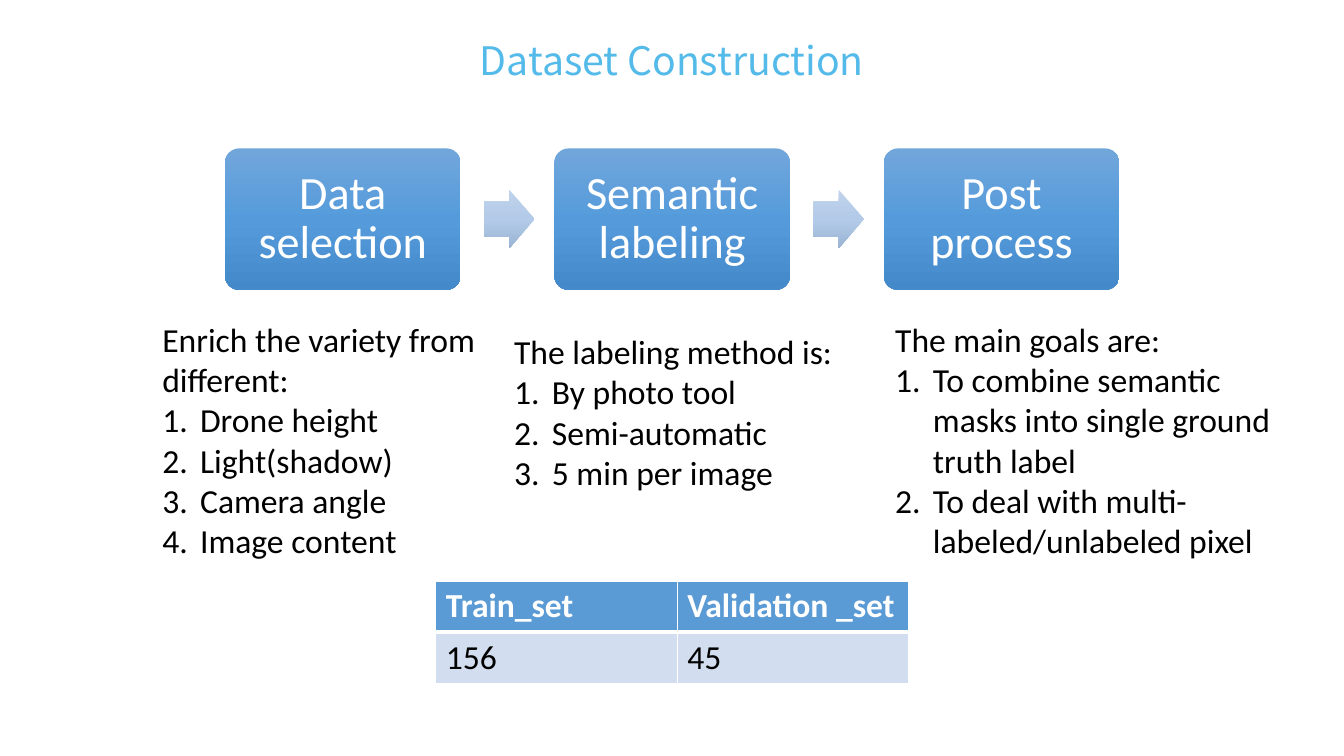
from copy import deepcopy

from lxml.etree import SubElement
from pptx import Presentation
from pptx.dml.color import RGBColor
from pptx.enum.shapes import MSO_SHAPE as Shape
from pptx.enum.text import MSO_ANCHOR as Anchor, MSO_AUTO_SIZE as AutoSize, PP_ALIGN as Align
from pptx.oxml.ns import qn
from pptx.util import Pt

COLOURS = {
    "title": "53BAE9", "text": "000000", "white": "FFFFFF",
    "header": "5B9BD5", "body": "D2DEEF",
}
STEP_GRADIENT = ["71A6DB", "559BDB", "448ACA"]
ARROW_GRADIENT = ["C0D2EB", "B3CBE9", "9BB4D3"]


def add_gradient_shape(kind, left, top, width, height, gradient):
    shape = page.shapes.add_shape(kind, Pt(left), Pt(top), Pt(width), Pt(height))
    shape.shadow.inherit = False
    shape.line.fill.background()
    shape.fill.gradient()
    shape.fill.gradient_angle = 270
    stop_list = shape._element.xpath(".//a:gsLst")[0]
    stop_list.append(deepcopy(stop_list[0]))
    for index, stop in enumerate(shape.fill.gradient_stops):
        stop.position = index / 2
        stop.color.rgb = RGBColor.from_string(gradient[index])
    return shape


def style_text(para, size, colour, bold=False, name="Calibri"):
    for span in para.runs:
        span.font.size = Pt(size)
        span.font.name = name
        span.font.bold = bold
        span.font.color.rgb = RGBColor.from_string(COLOURS[colour])


deck = Presentation()
deck.slide_width, deck.slide_height = Pt(960), Pt(540)
page = deck.slides.add_slide(deck.slide_layouts[4])
title, *bodies = page.placeholders

# Title
title.left, title.top, title.width, title.height = Pt(327.6), Pt(22.3), Pt(304.6), Pt(41)
title.text_frame.text = "Dataset Construction"
title.text_frame.word_wrap = False
title.text_frame.auto_size = AutoSize.NONE
title.text_frame.vertical_anchor = Anchor.MIDDLE
title.text_frame.paragraphs[0].alignment = Align.CENTER
style_text(title.text_frame.paragraphs[0], 28, "title", name="Noto Sans CJK SC")

# Process steps with arrows between them
steps = ["Data selection", "Semantic labeling", "Post process"]
for index, step in enumerate(steps):
    left = 160.7 + index * 235.3
    box = add_gradient_shape(Shape.ROUNDED_RECTANGLE, left, 106, 168.3, 101, STEP_GRADIENT)
    box.adjustments[0] = 0.1
    frame = box.text_frame
    frame.text = step
    frame.word_wrap = True
    frame.vertical_anchor = Anchor.MIDDLE
    frame.margin_left = frame.margin_right = Pt(13)
    frame.margin_top = frame.margin_bottom = Pt(13)
    para = frame.paragraphs[0]
    para.alignment = Align.CENTER
    para.line_spacing = 0.9
    style_text(para, 33, "white")
    if index < len(steps) - 1:
        arrow = add_gradient_shape(Shape.RIGHT_ARROW, left + 185, 135.5, 36, 42, ARROW_GRADIENT)
        arrow.adjustments[0] = 0.6

# Numbered notes under the steps
notes = [
    (108.7, 224, 250.6, 181.4, "Enrich the variety from different:",
     ["Drone height", "Light(shadow)", "Camera angle", "Image content"]),
    (360, 232.8, 247, 152.6, "The labeling method is:",
     ["By photo tool", "Semi-automatic", "5 min per image"]),
    (632.2, 224, 283, 181.4, "The main goals are:",
     ["To combine semantic masks into single ground truth label",
      "To deal with multi-labeled/unlabeled pixel"]),
]
for body, (left, top, width, height, heading, items) in zip(bodies, notes):
    body.left, body.top, body.width, body.height = Pt(left), Pt(top), Pt(width), Pt(height)
    frame = body.text_frame
    frame.text = "\n".join([heading, *items])
    frame.word_wrap = True
    frame.auto_size = AutoSize.NONE
    frame.vertical_anchor = Anchor.TOP
    for index, para in enumerate(frame.paragraphs):
        indent = Pt(27) if index else 0
        properties = para._p.get_or_add_pPr()
        properties.set("marL", str(indent))
        properties.set("indent", str(-indent))
        if index:
            SubElement(properties, qn("a:buFont"), typeface="+mj-lt")
            SubElement(properties, qn("a:buAutoNum"), type="arabicPeriod")
        else:
            SubElement(properties, qn("a:buNone"))
        para.space_before = Pt(0)
        style_text(para, 24, "text")
for spare in bodies[len(notes):]:
    spare._element.getparent().remove(spare._element)

# Table of set sizes
rows = [["Train_set", "Validation _set"], ["156", "45"]]
row_styles = [("header", "white", True), ("body", "text", False)]
table = page.shapes.add_table(2, 2, Pt(311.3), Pt(415), Pt(337.5), Pt(72)).table
table.columns[0].width, table.columns[1].width = Pt(172.5), Pt(165)
for row, (values, (fill, colour, bold)) in enumerate(zip(rows, row_styles)):
    borders = {"lnL": 1, "lnR": 1, "lnT": 3 if row else 1, "lnB": 1 if row else 3}
    for column, value in enumerate(values):
        cell = table.cell(row, column)
        cell.text_frame.text = value
        style_text(cell.text_frame.paragraphs[0], 24, colour, bold)
        properties = cell._tc.get_or_add_tcPr()
        for side, weight in borders.items():
            line = SubElement(properties, qn(f"a:{side}"), w=str(Pt(weight)))
            paint = SubElement(line, qn("a:solidFill"))
            SubElement(paint, qn("a:srgbClr"), val=COLOURS["white"])
        cell.fill.solid()
        cell.fill.fore_color.rgb = RGBColor.from_string(COLOURS[fill])

deck.save("out.pptx")
